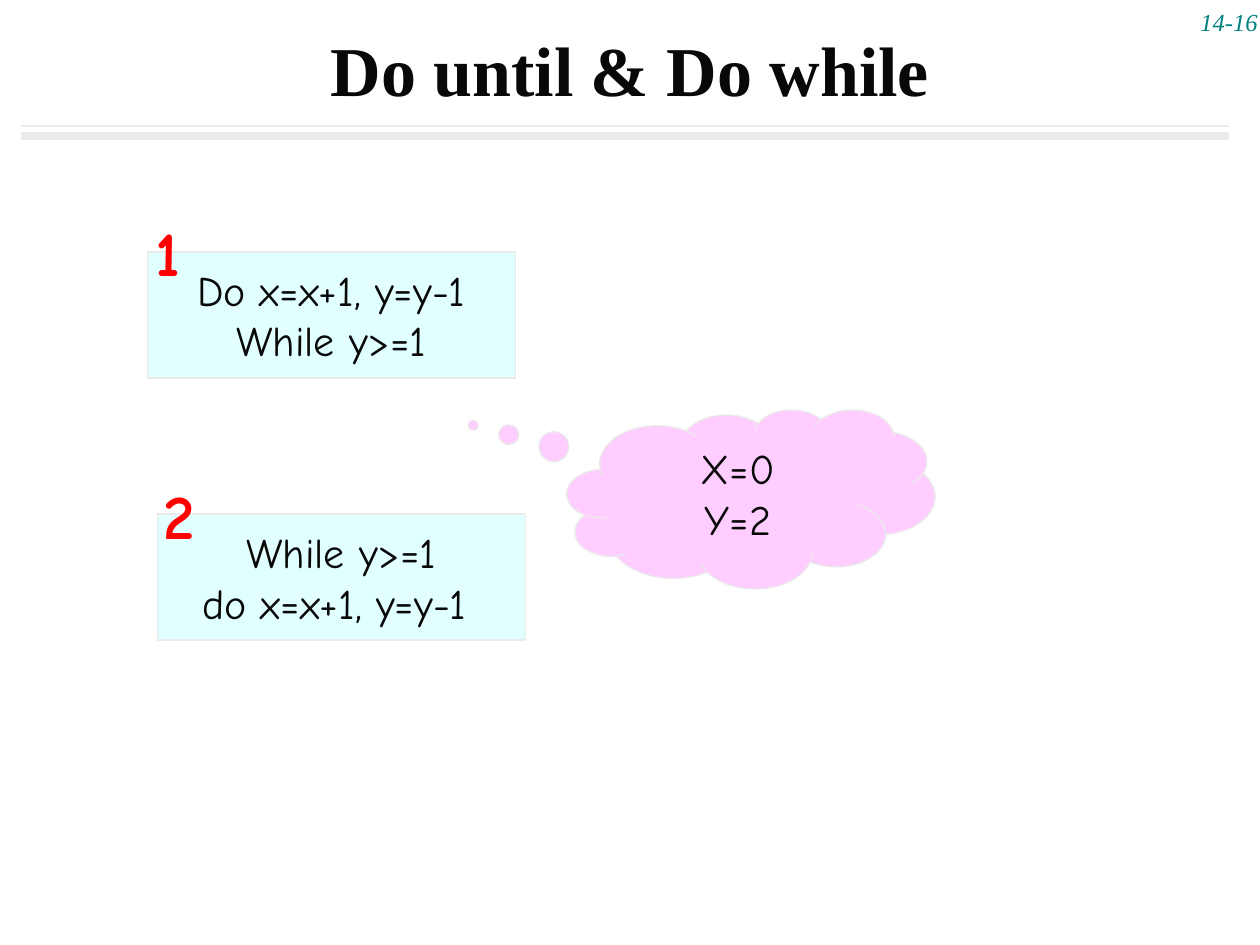
from pptx import Presentation
from pptx.dml.color import RGBColor
from pptx.enum import shapes, text
from pptx.oxml.ns import qn
from pptx.util import Inches, Pt
from lxml import etree

INK = RGBColor(0x08, 0x08, 0x08)
TEAL = RGBColor(0x00, 0x80, 0x80)
RED = RGBColor(0xFF, 0x00, 0x00)
CYAN = RGBColor(0xE1, 0xFF, 0xFF)
PINK = RGBColor(0xFF, 0xCD, 0xFF)
GREY = RGBColor(0xEA, 0xEA, 0xEA)
SERIF, COMIC = "Times New Roman", "Comic Neue"


def write(box, lines, size, color, font=COMIC, bold=False, italic=False,
          align=text.PP_ALIGN.CENTER, anchor=text.MSO_ANCHOR.MIDDLE, wrap=True):
    frame = box.text_frame
    frame.word_wrap = wrap
    frame.vertical_anchor = anchor
    for i, line in enumerate(lines):
        paragraph = frame.paragraphs[0] if i == 0 else frame.add_paragraph()
        paragraph.alignment = align
        run = paragraph.add_run()
        run.text = line
        run.font.name, run.font.size = font, Pt(size)
        run.font.bold, run.font.italic = bold, italic
        run.font.color.rgb = color


def paint(shape, fill):
    shape.shadow.inherit = False
    shape.fill.solid()
    shape.fill.fore_color.rgb = fill
    shape.line.color.rgb = GREY
    shape.line.width = Pt(0.75)


prs = Presentation()
prs.slide_width, prs.slide_height = Inches(10), Inches(7.5)
slide = prs.slides.add_slide(prs.slide_layouts[5])

# Page number
page = slide.shapes.add_textbox(Inches(9.08), Inches(-0.08), Inches(1), Inches(0.42))
write(page, ["14-16"], 14, TEAL, SERIF, italic=True,
      align=text.PP_ALIGN.RIGHT, anchor=text.MSO_ANCHOR.BOTTOM)

# Title
title = slide.shapes.title
title.left, title.top = Inches(0.5), Inches(-0.08)
title.width, title.height = Inches(9), Inches(1.25)
write(title, ["Do until & Do while"], 40, INK, SERIF, bold=True)

# Numbered loops: each a code box with its number on the corner
loops = [
    ("1", ["Do x=x+1, y=y-1", "While y>=1"], 1.17, 2, 0.83, 1.58),
    ("2", ["While y>=1", "do x=x+1, y=y-1 "], 1.25, 4.08, 0.92, 3.67),
]
for number, code, left, top, number_left, number_top in loops:
    loop = slide.shapes.add_group_shape()
    code_box = loop.shapes.add_shape(shapes.MSO_SHAPE.RECTANGLE, Inches(left),
                                     Inches(top), Inches(2.92), Inches(1))
    paint(code_box, CYAN)
    write(code_box, code, 24, INK, wrap=False)
    label = loop.shapes.add_textbox(Inches(number_left), Inches(number_top),
                                    Inches(1), Inches(0.83))
    write(label, [number], 36, RED, bold=True, wrap=False)

# Starting values in a thought cloud
cloud = slide.shapes.add_shape(shapes.MSO_SHAPE.CLOUD_CALLOUT, Inches(4.5),
                               Inches(3.25), Inches(2.92), Inches(1.42))
cloud.adjustments[0], cloud.adjustments[1] = -0.755, -0.412
paint(cloud, PINK)
write(cloud, ["X=0", "Y=2"], 24, INK, anchor=text.MSO_ANCHOR.TOP)

# Double rule under the title
for y, weight in [(1.08, 4.5), (1, 0.75)]:
    rule = slide.shapes.add_connector(shapes.MSO_CONNECTOR.STRAIGHT, Inches(0.17),
                                      Inches(y), Inches(9.75), Inches(y))
    rule.line.color.rgb = GREY
    rule.line.width = Pt(weight)
    etree.SubElement(rule._element.spPr, qn("a:effectLst"))

prs.save("out.pptx")
